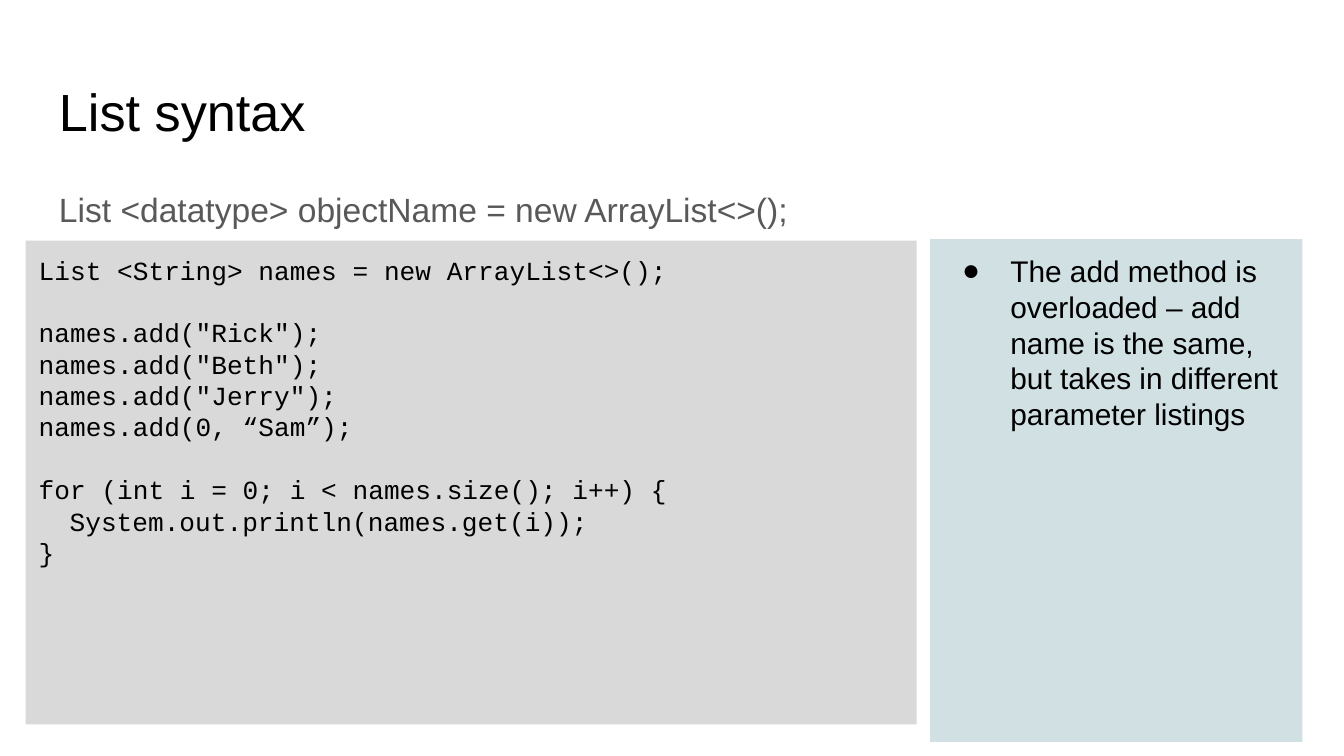
from lxml import etree
from pptx import Presentation
from pptx import util as u
from pptx.dml.color import RGBColor
from pptx.enum import shapes, text
from pptx.oxml import ns

BLACK = RGBColor(0x00, 0x00, 0x00)
GRAY = RGBColor(0x59, 0x59, 0x59)
CODE_FILL = RGBColor(0xD9, 0xD9, 0xD9)
NOTE_FILL = RGBColor(0xD0, 0xE0, 0xE3)

CODE_LINE = u.Pt(16.8)
CODE_INDENT = u.Inches(0.23)

prs = Presentation()
prs.slide_width = u.Inches(10)
prs.slide_height = u.Inches(10) * 9 // 16
slide = prs.slides.add_slide(prs.slide_layouts[6])


def add_panel(box, fill=None):
    """Return the text frame of a text box, or of a filled rectangle."""
    place = [u.Inches(length) for length in box]
    if fill is None:
        panel = slide.shapes.add_textbox(*place)
    else:
        panel = slide.shapes.add_shape(shapes.MSO_SHAPE.RECTANGLE, *place)
        panel.shadow.inherit = False
        panel.fill.solid()
        panel.fill.fore_color.rgb = fill
        panel.line.fill.background()
    frame = panel.text_frame
    frame.word_wrap = True
    frame.vertical_anchor = text.MSO_ANCHOR.TOP
    for side in ("left", "top", "right", "bottom"):
        setattr(frame, f"margin_{side}", u.Inches(0.1))
    return frame


def write_lines(frame, lines, font, color):
    for number, line in enumerate(lines):
        paragraph = frame.paragraphs[0] if number == 0 else frame.add_paragraph()
        paragraph.alignment = text.PP_ALIGN.LEFT
        run = paragraph.add_run()
        run.text = line
        for name, value in font.items():
            setattr(run.font, name, value)
        run.font.color.rgb = color


title = add_panel((0.34, 0.49, 9.32, 0.63))
write_lines(title, ["List syntax"], {"name": "Arial", "size": u.Pt(28)}, BLACK)

syntax = add_panel((0.34, 1.26, 9.32, 3.74))
write_lines(syntax, ["List <datatype> objectName = new ArrayList<>();"],
            {"name": "Arial", "size": u.Pt(18)}, GRAY)
syntax.paragraphs[0].line_spacing = 1.15

code_lines = [
    "List <String> names = new ArrayList<>();",
    'names.add("Rick");',
    'names.add("Beth");',
    'names.add("Jerry");',
    "names.add(0, “Sam”);",
    "for (int i = 0; i < names.size(); i++) {",
    "System.out.println(names.get(i));",
    "}",
]
code = add_panel((0.19, 1.79, 6.63, 3.6), CODE_FILL)
write_lines(code, code_lines, {"name": "Courier New", "size": u.Pt(14)}, BLACK)
for paragraph in code.paragraphs:
    if paragraph.text.startswith(('names.add("Rick', "for")):
        paragraph.space_before = CODE_LINE
    if paragraph.text.startswith("System"):
        paragraph._p.get_or_add_pPr().set("marL", str(CODE_INDENT))

note = add_panel((6.92, 1.78, 2.77, 3.74), NOTE_FILL)
write_lines(note, ["The add method is overloaded – add name is the same, "
                   "but takes in different parameter listings"],
            {"name": "Arial", "size": u.Pt(16)}, BLACK)
bullet = note.paragraphs[0]._p.get_or_add_pPr()
bullet.set("marL", str(u.Inches(0.5)))
bullet.set("indent", str(u.Inches(-0.36)))
bullet_color = etree.SubElement(bullet, ns.qn("a:buClr"))
etree.SubElement(bullet_color, ns.qn("a:srgbClr"), val=str(BLACK))
etree.SubElement(bullet, ns.qn("a:buFont"), typeface="Arial")
etree.SubElement(bullet, ns.qn("a:buChar"), char="●")

prs.save("out.pptx")
